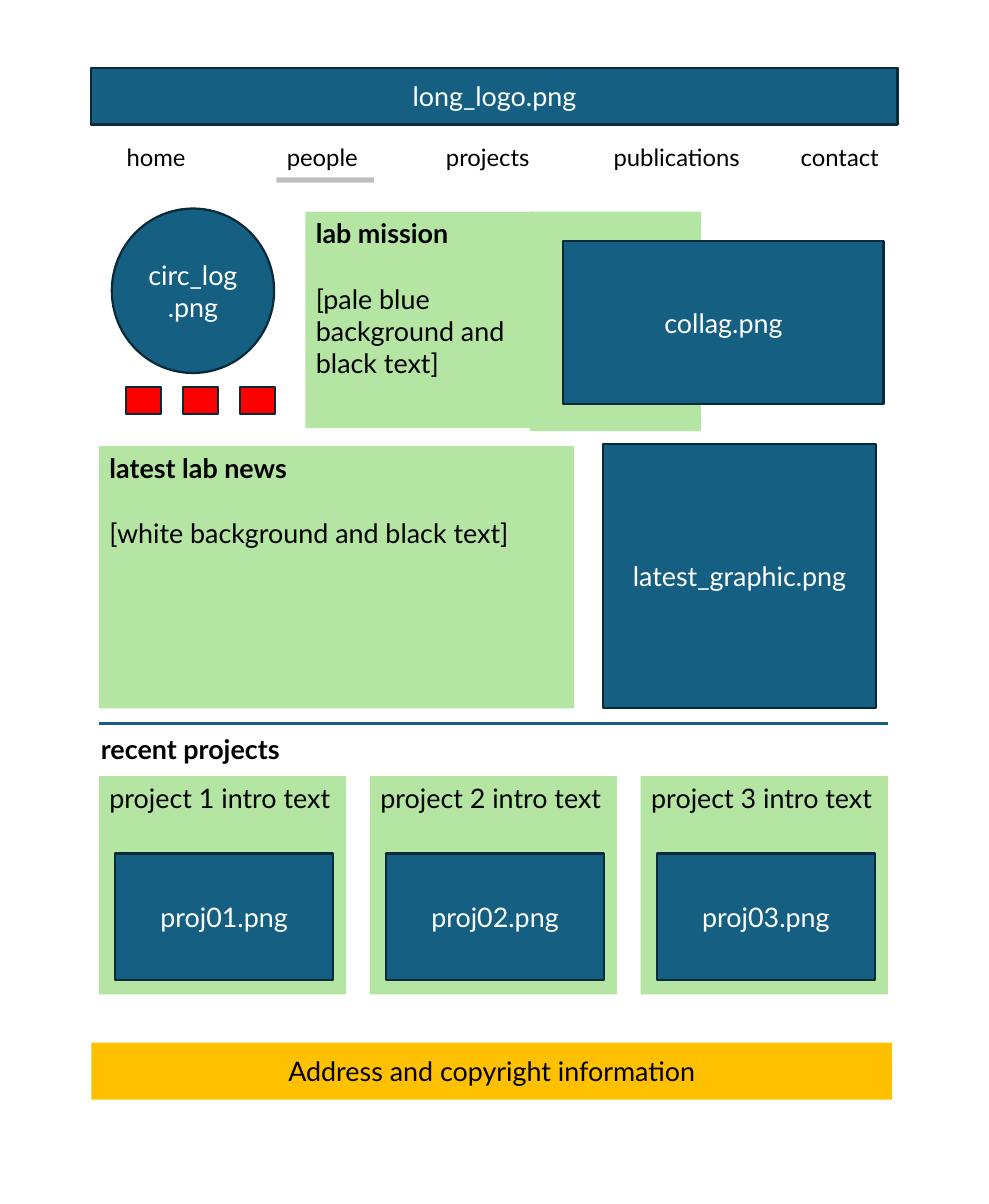
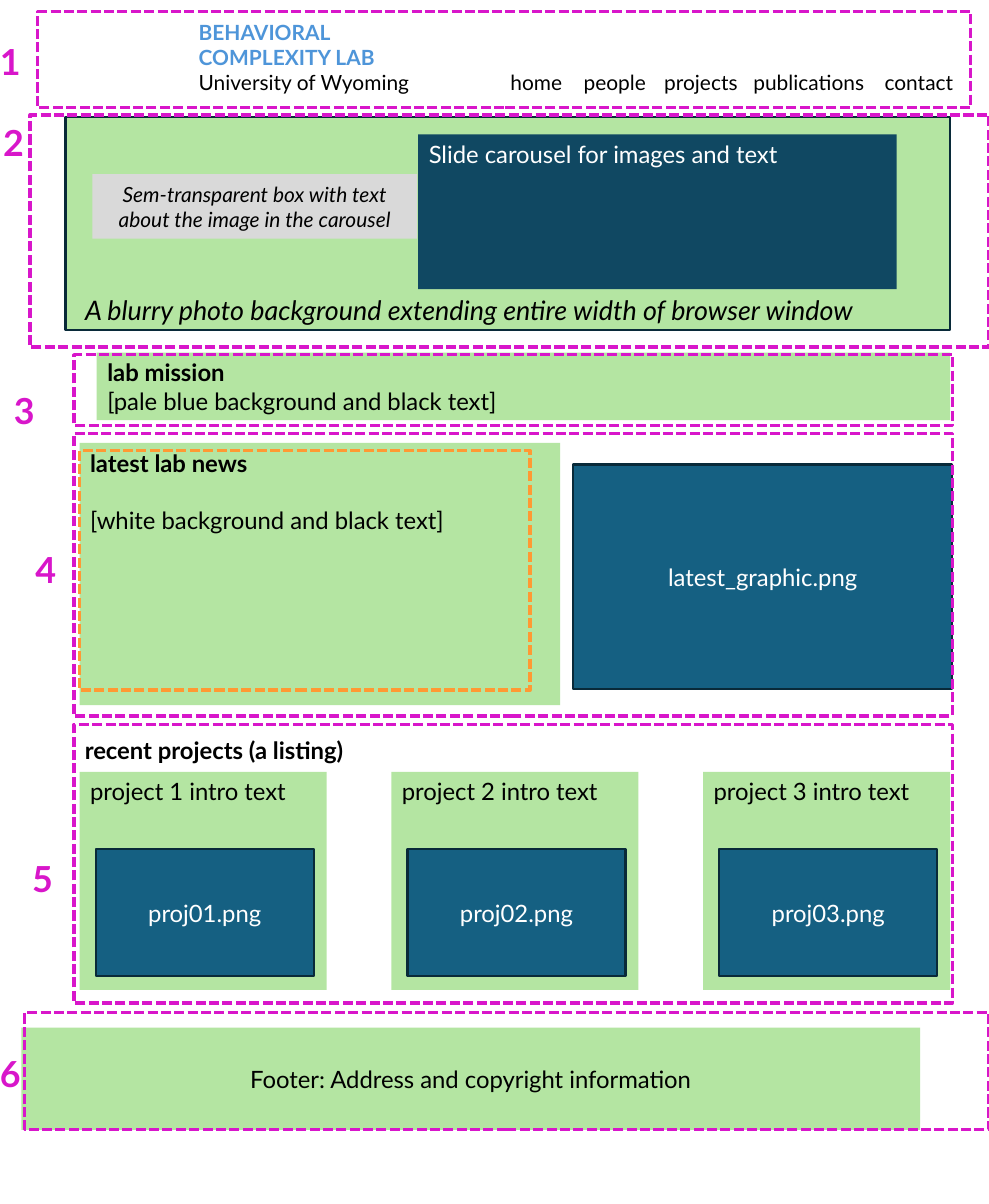
from pptx import Presentation
from pptx.dml.color import RGBColor
from pptx.enum.dml import MSO_LINE as Dash
from pptx.enum.shapes import MSO_CONNECTOR as Connector, MSO_SHAPE as Shape
from pptx.enum.text import MSO_ANCHOR as Anchor, MSO_AUTO_SIZE as AutoSize, PP_ALIGN as Align
from pptx.oxml.ns import qn
from pptx.util import Inches, Pt
from lxml import etree

# Shared look
FONT = "Lato"
BLACK, WHITE, GREY, UNDERLINE = "000000", "FFFFFF", "D9D9D9", "BFBFBF"
GREEN, BLUE, NAVY, EDGE = "B4E5A2", "156082", "104862", "092A39"
RED, GOLD, SKY, MAGENTA, ORANGE = "FF0000", "FFC000", "4E95D9", "D816CA", "FF9933"

# Shared content
PROJECTS = [("project 1 intro text", "proj01.png"),
            ("project 2 intro text", "proj02.png"),
            ("project 3 intro text", "proj03.png")]
MISSION = ["lab mission", "[pale blue background and black text]"]
NEWS = ["latest lab news", "[white background and black text]"]
GRAPHIC = "latest_graphic.png"

# First layout: menu entries are (text, left, width), images (text, box)
HOME_MENU = [("home", 1.08, 0.76), ("people", 2.57, 0.86), ("projects", 4.05, 0.99),
             ("publications", 5.61, 1.41), ("contact", 7.35, 0.95)]
HOME_IMAGES = [("long_logo.png", (0.85, 0.63, 7.5, 0.53)),
               ("collag.png", (5.24, 2.24, 2.98, 1.52)),
               (GRAPHIC, (5.61, 4.13, 2.54, 2.46))]

# Second layout: sections are (number, number position, frame)
SECTION_MENU = [("home", 4.65, 0.69), ("people", 5.33, 0.78), ("projects", 6.08, 0.89),
                ("publications", 6.91, 1.26), ("contact", 8.13, 0.86)]
SECTIONS = [("1", (-0.1, 0.32), (0.35, 0.11, 8.68, 0.89)),
            ("2", (-0.07, 1.07), (0.28, 1.07, 8.92, 2.16)),
            ("3", (0.03, 3.57), (0.69, 3.3, 8.17, 0.66)),
            ("4", (0.23, 5.05), (0.69, 4.03, 8.17, 2.63)),
            ("5", (0.2, 7.92), (0.69, 6.74, 8.17, 2.59)),
            ("6", (-0.1, 9.73), (0.23, 9.42, 8.97, 1.09))]


def rgb(value):
    return RGBColor.from_string(value)


def lengths(values):
    return [Inches(value) for value in values]


def write(frame, lines, size, color=BLACK, align=Align.LEFT, bold=False, italic=False):
    """Fill a text frame, one paragraph a line."""
    frame.text = "\n".join(lines)
    for para in frame.paragraphs:
        para.alignment = align
        for span in para.runs:
            font = span.font
            font.name, font.size = FONT, Pt(size)
            font.bold, font.italic = bold, italic
            font.color.rgb = rgb(color)


def add_label(page, at, lines, size, wrap=False, **style):
    box = page.shapes.add_textbox(*lengths(at))
    box.text_frame.word_wrap = wrap
    box.text_frame.auto_size = AutoSize.SHAPE_TO_FIT_TEXT
    write(box.text_frame, lines, size, **style)
    return box


def add_block(page, at, fill=None, edge=None, kind=Shape.RECTANGLE):
    box = page.shapes.add_shape(kind, *lengths(at))
    box.shadow.inherit = False
    if fill:
        box.fill.solid()
        box.fill.fore_color.rgb = rgb(fill)
    else:
        box.fill.background()
    if edge:
        box.line.color.rgb = rgb(edge)
        box.line.width = Pt(1.5)
    else:
        box.line.fill.background()
    return box


def add_panel(page, at, lines, size, fill=GREEN, color=BLACK):
    """Coloured area with text at its top left."""
    box = add_block(page, at, fill)
    box.text_frame.vertical_anchor = Anchor.TOP
    write(box.text_frame, lines, size, color)
    return box


def add_article(page, at, lines, size, gap=0):
    """Panel with a bold heading, and a gap in points below it."""
    heading, body = add_panel(page, at, lines, size).text_frame.paragraphs
    heading.runs[0].font.bold = True
    body.space_before = Pt(gap)


def add_centred(page, at, text, size, fill, color=BLACK, edge=None,
                kind=Shape.RECTANGLE, italic=False):
    box = add_block(page, at, fill, edge, kind)
    box.text_frame.vertical_anchor = Anchor.MIDDLE
    write(box.text_frame, [text], size, color, Align.CENTER, italic=italic)


def add_image_slot(page, at, text, size, kind=Shape.RECTANGLE):
    add_centred(page, at, text, size, BLUE, WHITE, EDGE, kind)


def add_frame(page, at, color):
    box = add_block(page, at, edge=color)
    box.line.width = Pt(2.25)
    box.line.dash_style = Dash.SQUARE_DOT


def add_menu(page, entries, top, size):
    for text, left, width in entries:
        add_label(page, (left, top, width, 0.37), [text], size)


def add_projects(page, left, top, pitch, size):
    for index, (intro, image) in enumerate(PROJECTS):
        x = left + index * pitch
        add_panel(page, (x, top, 2.3, 2.03), [intro], size)
        add_image_slot(page, (x + 0.15, top + 0.72, 2.03, 1.18), image, size)


def build_home(page):
    # Mission, in two overlapping green areas
    add_block(page, (4.93, 1.97, 1.59, 2.04), GREEN)
    add_article(page, (2.84, 1.97, 2.11, 2.01), MISSION, 18, gap=22)

    # Menu with the current entry underlined
    add_menu(page, HOME_MENU, 1.28, 16)
    add_block(page, (2.57, 1.65, 0.91, 0.05), UNDERLINE)

    # Images and icons
    add_image_slot(page, (1.04, 1.94, 1.51, 1.53), "circ_log.png", 18, Shape.OVAL)
    for text, at in HOME_IMAGES:
        add_image_slot(page, at, text, 18)
    for index in range(3):
        add_block(page, (1.17 + index * 0.53, 3.6, 0.33, 0.25), RED, EDGE)

    # News
    add_article(page, (0.92, 4.15, 4.42, 2.44), NEWS, 18, gap=22)

    # Projects below a rule
    rule = page.shapes.add_connector(Connector.STRAIGHT, *lengths((0.92, 6.73, 8.26, 6.73)))
    rule.line.color.rgb = rgb(BLUE)
    rule.line.width = Pt(1.5)
    etree.SubElement(rule._element.spPr, qn("a:effectLst"))
    add_label(page, (0.84, 6.77, 1.95, 0.4), ["recent projects"], 18, bold=True)
    add_projects(page, 0.92, 7.22, 2.52, 18)

    # Footer
    add_centred(page, (0.85, 9.7, 7.45, 0.53), "Address and copyright information", 18, GOLD)


def build_sections(page):
    # Header: lab name and menu
    name = add_label(page, (1.75, 0.13, 2.26, 0.81),
                     ["BEHAVIORAL COMPLEXITY LAB", "University of Wyoming"], 14, wrap=True)
    lab = name.text_frame.paragraphs[0].runs[0].font
    lab.bold = True
    lab.color.rgb = rgb(SKY)
    add_menu(page, SECTION_MENU, 0.6, 14)

    # Carousel on a photo background
    add_block(page, (0.61, 1.09, 8.23, 1.98), GREEN, EDGE)
    add_label(page, (0.48, 2.68, 7.77, 0.4),
              ["A blurry photo background extending entire width of browser window"],
              18, wrap=True, align=Align.CENTER, italic=True)
    add_panel(page, (3.89, 1.25, 4.45, 1.44), ["Slide carousel for images and text"],
              16, NAVY, WHITE)
    add_centred(page, (0.86, 1.62, 3.02, 0.6),
                "Sem-transparent box with text about the image in the carousel",
                14, GREY, italic=True)

    # Mission and news
    add_article(page, (0.9, 3.28, 7.94, 0.63), MISSION, 16)
    add_article(page, (0.74, 4.12, 4.47, 2.44), NEWS, 16, gap=19)
    add_image_slot(page, (5.33, 4.32, 3.53, 2.09), GRAPHIC, 16)

    # Projects
    add_label(page, (0.69, 6.79, 2.72, 0.37), ["recent projects (a listing)"], 16, bold=True)
    add_projects(page, 0.74, 7.18, 2.9, 16)

    # Footer
    add_centred(page, (0.2, 9.56, 8.36, 0.95), "Footer: Address and copyright information",
                16, GREEN)

    # Numbered section frames
    for number, corner, frame in SECTIONS:
        add_frame(page, frame, MAGENTA)
        add_label(page, (*corner, 0.38, 0.5), [number], 24, color=MAGENTA, bold=True)
    add_frame(page, (0.74, 4.19, 4.19, 2.23), ORANGE)


def main():
    deck = Presentation()
    deck.slide_width, deck.slide_height = lengths((9.2, 11.2))
    for build in (build_home, build_sections):
        build(deck.slides.add_slide(deck.slide_layouts[6]))
    deck.save("out.pptx")


if __name__ == "__main__":
    main()
